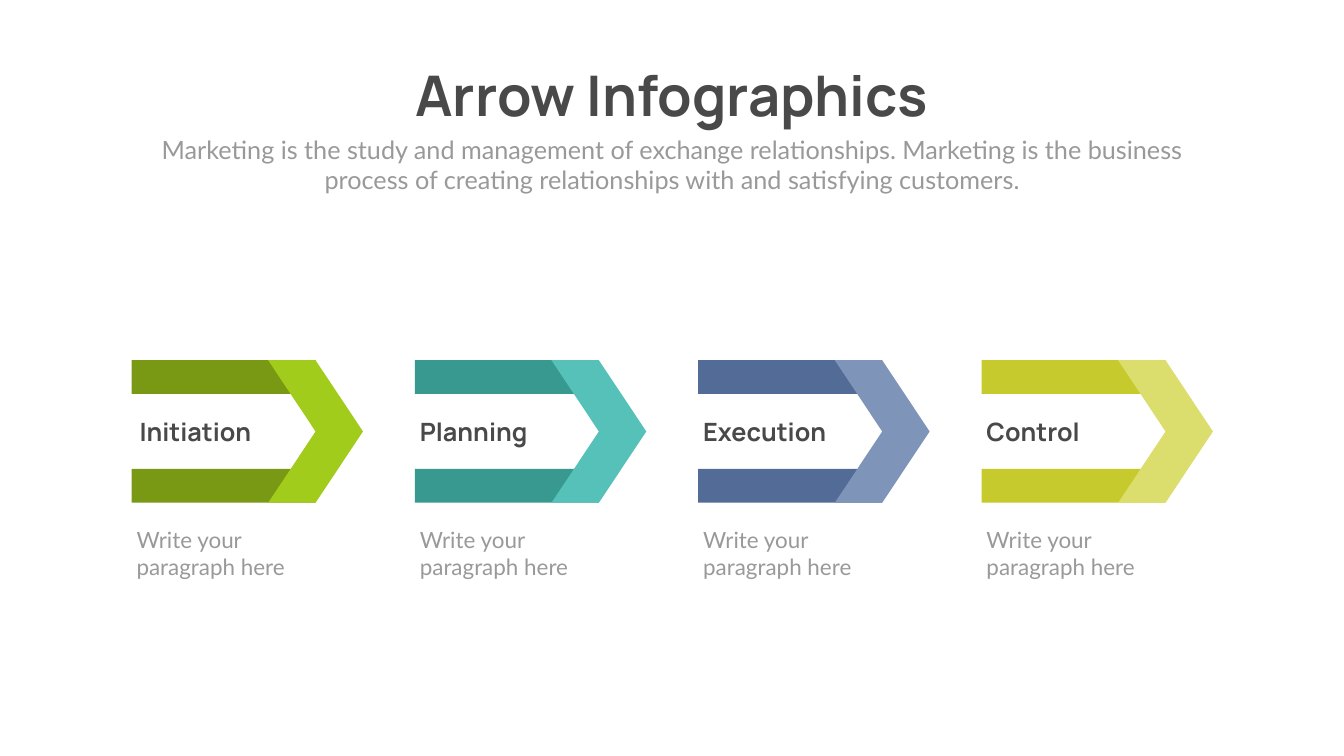
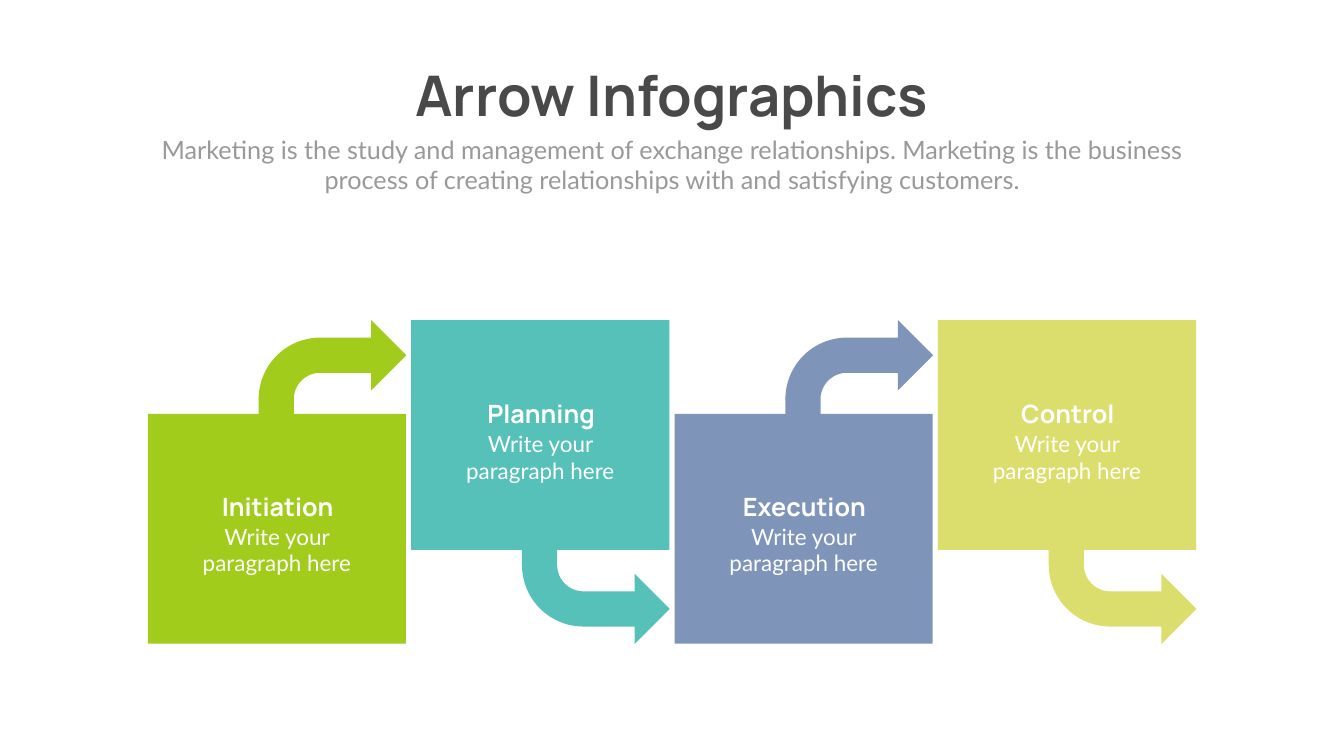
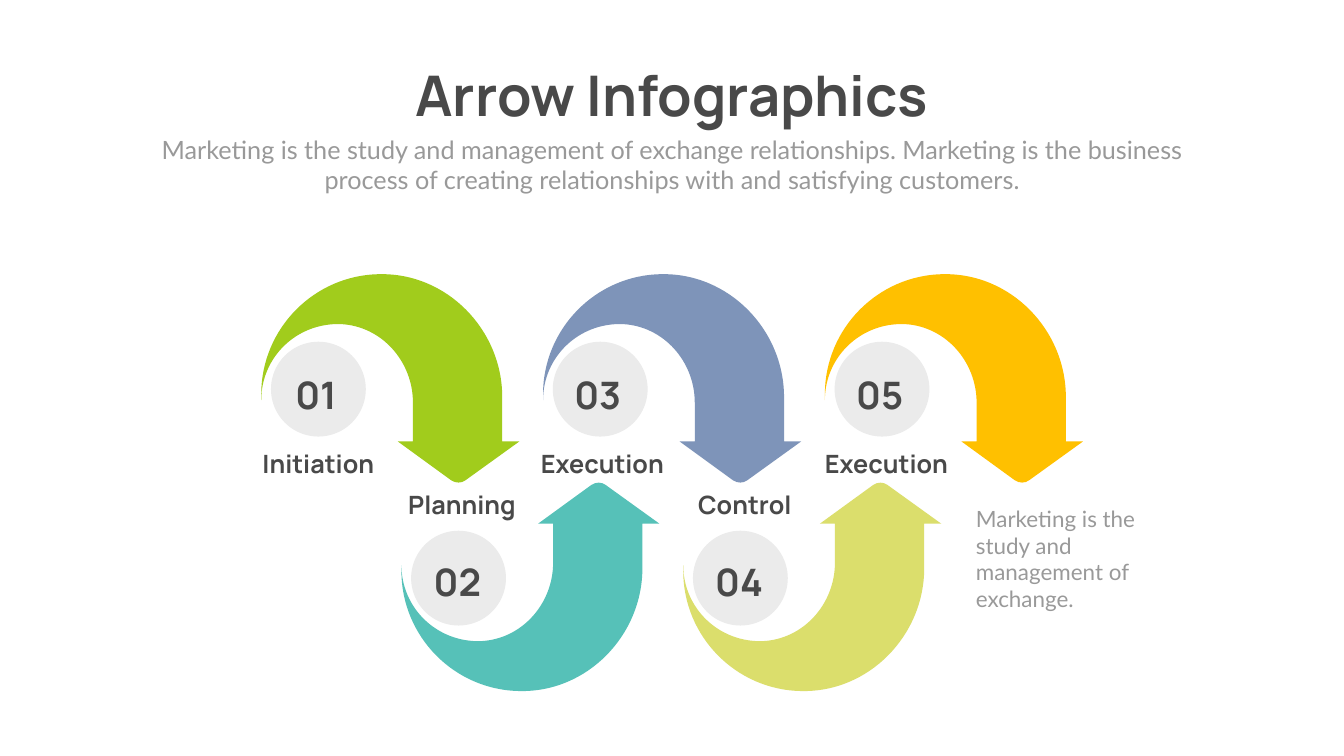
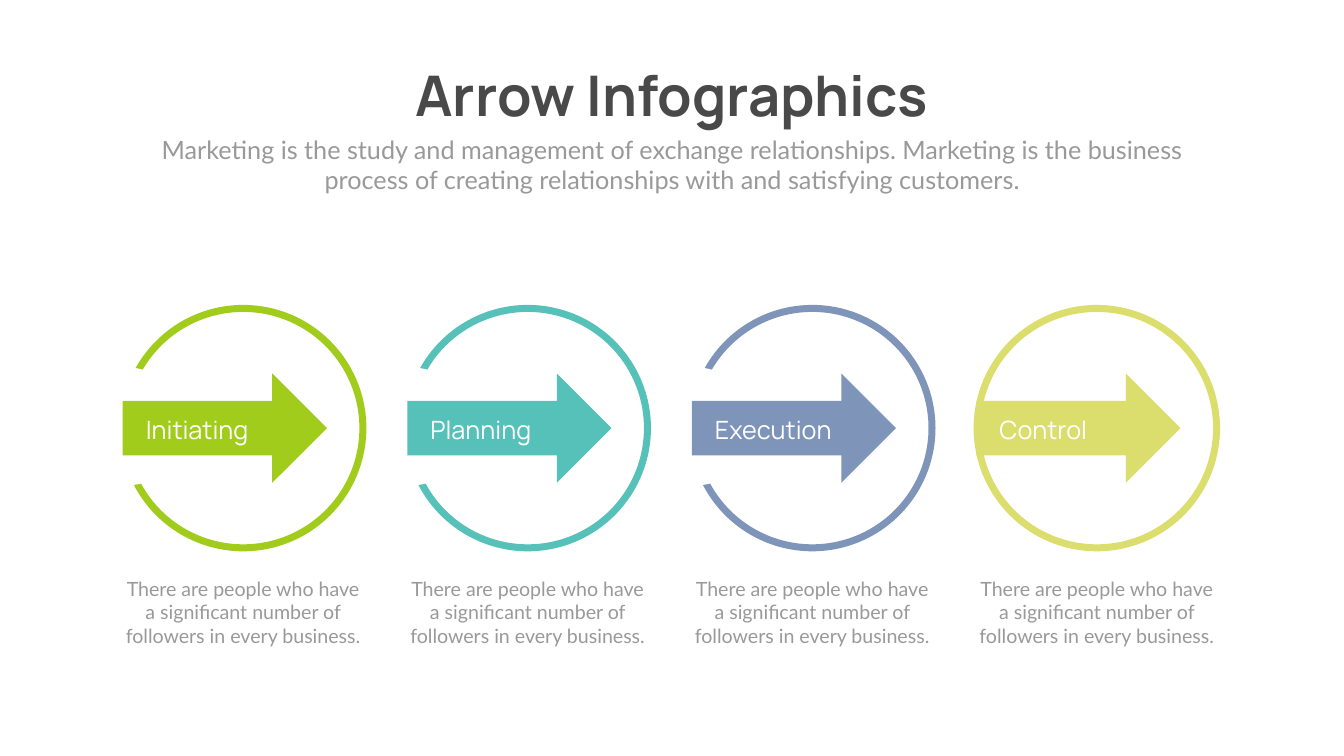
from lxml import etree
from pptx import Presentation
from pptx.dml.color import RGBColor
from pptx.enum import shapes, text
from pptx.oxml.ns import qn
from pptx.util import Pt

# ---- Shared style ----
SLIDE_SIZE = (1919.52, 1080)
HEADING_FONT, BODY_FONT = "Manrope", "Lato"
DARK = RGBColor(0x49, 0x49, 0x49)
GREY = RGBColor(0x99, 0x99, 0x99)
PALE = RGBColor(0xEB, 0xEB, 0xEB)
WHITE = RGBColor(0xFF, 0xFF, 0xFF)
GREEN = RGBColor(0xA1, 0xCC, 0x1C)
TEAL = RGBColor(0x56, 0xC1, 0xB8)
BLUE = RGBColor(0x7E, 0x94, 0xB9)
LIME = RGBColor(0xDB, 0xDE, 0x6C)
AMBER = RGBColor(0xFF, 0xC0, 0x00)
DARK_GREEN = RGBColor(0x79, 0x99, 0x15)
DARK_TEAL = RGBColor(0x38, 0x99, 0x91)
DARK_BLUE = RGBColor(0x52, 0x6C, 0x97)
DARK_LIME = RGBColor(0xC6, 0xCA, 0x2D)
LEFT, CENTER = text.PP_ALIGN.LEFT, text.PP_ALIGN.CENTER
PRESET = shapes.MSO_SHAPE

# ---- Content ----
TITLE = "Arrow Infographics"
INTRO = ("Marketing is the study and management of exchange relationships. "
         "Marketing is the business process of creating relationships with "
         "and satisfying customers.")
STEP_TEXT = "Write your paragraph here"
RING_TEXT = ("There are people who have a significant number of followers "
             "in every business.")
CLOSING = "Marketing is the study and management of exchange."

# name, bar colour, chevron colour, label shift, label width
CHEVRON_STEPS = [
    ("Initiation", DARK_GREEN, GREEN, 4.3, 192),
    ("Planning", DARK_TEAL, TEAL, 0, 192),
    ("Execution", DARK_BLUE, BLUE, 0, 217.4),
    ("Control", DARK_LIME, LIME, 0, 192),
]
# name, colour, label width
BOX_STEPS = [
    ("Initiation", GREEN, 192),
    ("Planning", TEAL, 192),
    ("Execution", BLUE, 211),
    ("Control", LIME, 192),
]
# name, colour, label left, label width
WAVE_STEPS = [
    ("Initiation", GREEN, 358.6, 192),
    ("Planning", TEAL, 563.8, 192),
    ("Execution", BLUE, 761, 198.7),
    ("Control", LIME, 967.7, 192),
    ("Execution", AMBER, 1166.4, 199.4),
]
RING_STEPS = [("Initiating", GREEN), ("Planning", TEAL),
              ("Execution", BLUE), ("Control", LIME)]

# Hooked arrow pointing down: one point makes a line, three a Bézier curve
HOOK_START = (344.2, 239)
HOOK = [
    [(344.2, 175.7)],
    [(344.2, 79.2), (265, -2.2), (168.5, 0)],
    [(75.6, 1.4), (0, 77.8), (0, 171.4)],
    [(0, 180)],
    [(0, 118.1), (51.1, 69.1), (113.8, 71.3)],
    [(172.1, 74.2), (216.7, 124.6), (216.7, 183.6)],
    [(216.7, 239)],
    [(195.1, 239)],
    [(271.4, 294.5)],
    [(277.9, 298.8), (285.8, 298.8), (291.6, 294.5)],
    [(368.6, 239)],
]


# ---- Helpers ----
def add_text(slide, words, box, size, color, font=BODY_FONT, bold=False,
             align=CENTER, wrap=True):
    shape = slide.shapes.add_textbox(*map(Pt, box))
    frame = shape.text_frame
    frame.word_wrap = wrap
    frame.auto_size = text.MSO_AUTO_SIZE.SHAPE_TO_FIT_TEXT
    paragraph = frame.paragraphs[0]
    paragraph.alignment = align
    run = paragraph.add_run()
    run.text = words
    run.font.name, run.font.size, run.font.bold = font, Pt(size), bold
    run.font.color.rgb = color


def add_heading(slide, words, box, color=DARK, size=36, bold=True,
                align=CENTER, wrap=True):
    add_text(slide, words, box, size, color, HEADING_FONT, bold, align, wrap)


def paint(shape, color):
    shape.shadow.inherit = False
    shape.fill.solid()
    shape.fill.fore_color.rgb = color
    shape.line.fill.background()


def add_preset(slide, preset, box, color):
    shape = slide.shapes.add_shape(preset, *map(Pt, box))
    paint(shape, color)
    return shape


def add_hook(slide, left, base, direction, color):
    def place(point):
        return Pt(left + point[0]), Pt(base + direction * point[1])

    builder = slide.shapes.build_freeform(*place(HOOK_START))
    builder.add_line_segments([place(segment[-1]) for segment in HOOK])
    shape = builder.convert_to_shape()
    paint(shape, color)
    # Bend the lines that stand for curves
    for line, segment in zip(list(shape._element.iter(qn("a:lnTo"))), HOOK):
        if len(segment) == 3:
            line.tag = qn("a:cubicBezTo")
            line.remove(line[0])
            for x, y in map(place, segment):
                etree.SubElement(line, qn("a:pt"), x=str(x - shape.left),
                                 y=str(y - shape.top))


def add_titled_slide(presentation):
    slide = presentation.slides.add_slide(presentation.slide_layouts[6])
    add_heading(slide, TITLE, (553.7, 82.5, 812.2, 104.4), size=80, wrap=False)
    add_text(slide, INTRO, (210.4, 188, 1499, 94.3), 36, GREY)
    return slide


# ---- Slides ----
def build_chevrons(slide):
    for index, (name, bar, chevron, shift, width) in enumerate(CHEVRON_STEPS):
        left = 187.9 + 404.64 * index
        for top in (514.6, 669.8):
            add_preset(slide, PRESET.RECTANGLE, (left, top, 262.8, 48.2), bar)
        add_preset(slide, PRESET.CHEVRON, (left + 195.1, 514.6, 135.4, 203.6),
                   chevron)
        add_heading(slide, name, (left + shift, 591.1, width, 51), align=LEFT)
        add_text(slide, STEP_TEXT, (left, 748, 273.6, 85), 32, GREY, align=LEFT)


def build_boxes(slide):
    for index, (name, color, width) in enumerate(BOX_STEPS):
        left = 211.2 + 376.15 * index
        raised = index % 2 == 1
        box_top, arrow_top, label_top = (
            (457.2, 719.3, 565.9) if raised else (591.1, 457.2, 697.7))
        add_preset(slide, PRESET.RECTANGLE, (left, box_top, 368.6, 328.3), color)
        arrow = add_preset(slide, PRESET.BENT_ARROW,
                           (left + 158.2, arrow_top, 211, 200.9), color)
        if raised:
            arrow._element.spPr.xfrm.set("flipV", "1")
        add_heading(slide, name, (left + 185.4 - width / 2, label_top, width, 51),
                    WHITE)
        add_text(slide, STEP_TEXT, (left + 47.5, label_top + 45.4, 273.6, 85),
                 32, WHITE)


def build_wave(slide):
    for index, (name, color, label_left, label_width) in enumerate(WAVE_STEPS):
        pair, upward = divmod(index, 2)
        left = 373.1 + 402.5 * pair + 200.2 * upward
        base, direction, disc_top, number_top, label_top = (
            (987.2, -1, 758.2, 794.9, 695.9) if upward
            else (391.7, 1, 488.2, 527, 637.2))
        add_hook(slide, left, base, direction, color)
        add_preset(slide, PRESET.OVAL, (left + 13.9, disc_top, 135.4, 135.4), PALE)
        add_heading(slide, name, (label_left, label_top, label_width, 51))
        add_heading(slide, f"{index + 1:02}",
                    (left + 23.5 + 1.7 * upward, number_top, 109.4, 72.7), size=54)
    add_text(slide, CLOSING, (1386.7, 717.5, 323.3, 123.8), 32, GREY, align=LEFT)


def build_rings(slide):
    # Right to left, so that each ring lies over its neighbour's gap
    for index, (name, color) in reversed(list(enumerate(RING_STEPS))):
        left = 176.3 + 406.4 * index
        ring = slide.shapes.add_shape(PRESET.OVAL, Pt(left), Pt(440.6),
                                      Pt(342), Pt(342))
        ring.shadow.inherit = False
        ring.fill.background()
        ring.line.color.rgb, ring.line.width = color, Pt(10)
        if index < len(RING_STEPS) - 1:
            add_preset(slide, PRESET.OVAL, (left - 79.8, 524.9, 168.5, 168.5),
                       WHITE)
        add_preset(slide, PRESET.RIGHT_ARROW, (left - 1, 533.5, 291.6, 156.2),
                   color)
        add_heading(slide, name, (left + 24.9, 588.2, 266.4, 51), WHITE,
                    bold=False, align=LEFT)
        add_text(slide, RING_TEXT, (left - 12.8, 820, 367.2, 100.8), 28, GREY)


def main():
    presentation = Presentation()
    presentation.slide_width, presentation.slide_height = map(Pt, SLIDE_SIZE)
    for build in (build_chevrons, build_boxes, build_wave, build_rings):
        build(add_titled_slide(presentation))
    presentation.save("out.pptx")


if __name__ == "__main__":
    main()
